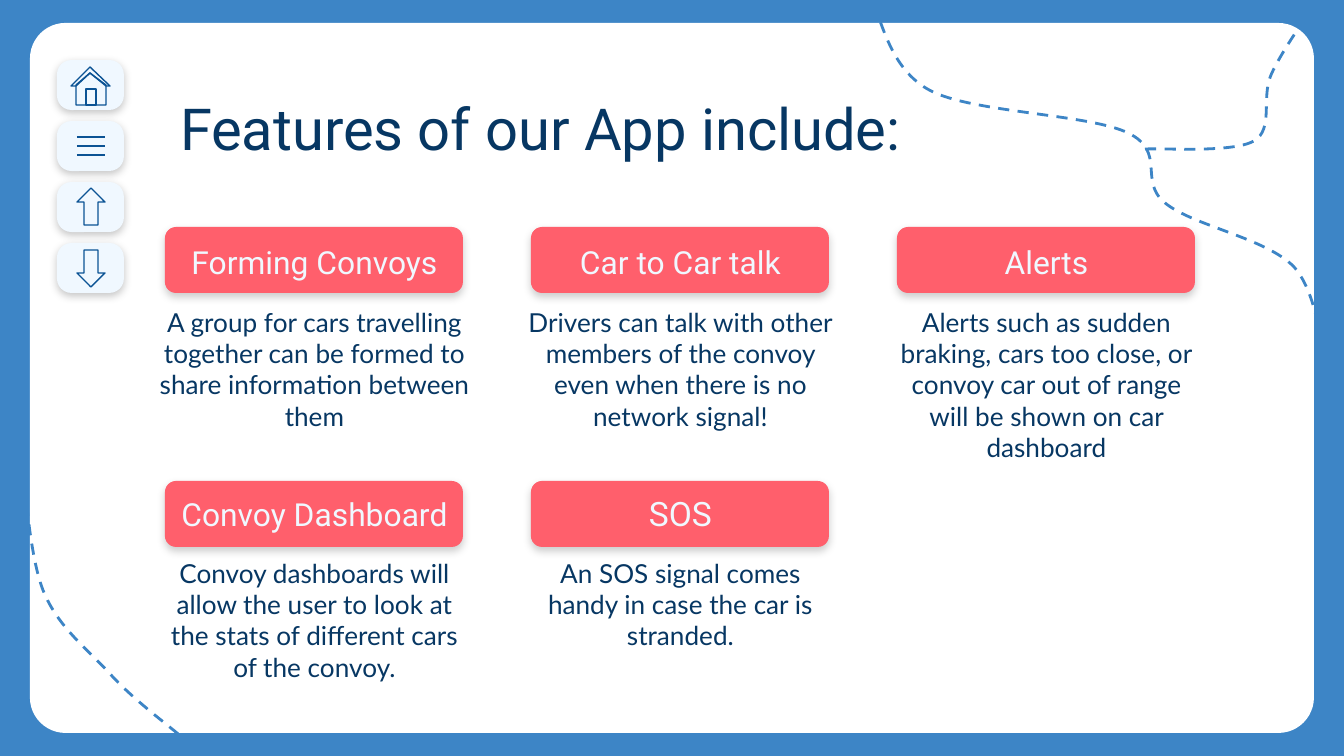
from dataclasses import dataclass

from lxml import etree
from pptx import Presentation
from pptx.dml.color import RGBColor
from pptx.enum.dml import MSO_LINE
from pptx.enum.shapes import MSO_CONNECTOR, MSO_SHAPE
from pptx.enum.text import MSO_ANCHOR, MSO_AUTO_SIZE, PP_ALIGN
from pptx.oxml.ns import qn
from pptx.shapes.autoshape import Shape
from pptx.shapes.shapetree import GroupShapes, SlideShapes
from pptx.text.text import TextFrame
from pptx.util import Emu, Pt

ROUNDED = MSO_SHAPE.ROUNDED_RECTANGLE
ARROW = MSO_SHAPE.DOWN_ARROW
STRAIGHT = MSO_CONNECTOR.STRAIGHT
DASH = MSO_LINE.DASH
TOP, BOTTOM = MSO_ANCHOR.TOP, MSO_ANCHOR.BOTTOM
LEFT, CENTER = PP_ALIGN.LEFT, PP_ALIGN.CENTER
NO_AUTOFIT = MSO_AUTO_SIZE.NONE

EMU_PER_PX = 914400 / 134.4
BLUE, NAVY, ICON_BLUE = "3D85C6", "073763", "0B5394"
WHITE, ICE, CORAL = "FFFFFF", "F0F8FF", "FF5F6C"
COLUMN_X, COLUMN_PITCH = 165, 366
CARD_ROWS, NAME_ROWS, DETAIL_ROWS = (227, 481), (228, 480), (293, 544)

Point = tuple[int, int]


@dataclass(frozen=True)
class Box:
    x: int
    y: int
    w: int
    h: int

    def emu(self) -> tuple[Emu, Emu, Emu, Emu]:
        return px(self.x), px(self.y), px(self.w), px(self.h)


@dataclass(frozen=True)
class Shadow:
    alpha: int
    blur: float
    distance: float


@dataclass(frozen=True)
class Feature:
    column: int
    row: int
    name: str
    detail: str
    name_size: int = 17

    @property
    def x(self) -> int:
        return COLUMN_X + COLUMN_PITCH * self.column


FEATURES = [
    Feature(0, 0, "Forming Convoys",
            "A group for cars travelling together can be formed to share information between them"),
    Feature(1, 0, "Car to Car talk",
            "Drivers can talk with other members of the convoy even when there is no network signal!"),
    Feature(0, 1, "Convoy Dashboard",
            "Convoy dashboards will allow the user to look at the stats of different cars of the convoy."),
    Feature(1, 1, "SOS",
            "An SOS signal comes handy in case the car is stranded.", 18),
    Feature(2, 0, "Alerts",
            "Alerts such as sudden braking, cars too close, or convoy car out of range "
            "will be shown on car dashboard"),
]

LEFT_ROAD = [(22, 446), (24, 470), (28, 551), (43, 590), (58, 628), (89, 650), (112, 676),
             (136, 702), (172, 728), (184, 739)]
SIDE_ROAD = [(1145, 149), (1164, 148), (1232, 153), (1254, 141), (1274, 129), (1261, 98),
             (1271, 75), (1281, 52), (1309, 13), (1317, 1)]
MAIN_ROAD = [(1328, 382), (1322, 363), (1321, 298), (1294, 267), (1266, 238), (1193, 226),
             (1165, 203), (1138, 181), (1167, 152), (1128, 133), (1089, 114), (974, 113),
             (931, 91), (888, 69), (882, 16), (871, 1)]

HOUSE_PARTS = [
    [(90, 73), (76, 85), (76, 105), (106, 105), (106, 85)],
    [(86, 89), (86, 105), (96, 105), (96, 89)],
    [(90, 67), (71, 86), (76, 86), (90, 73), (106, 86), (110, 86)],
]

CARD_SHADOW = Shadow(20, 4.5, 2.25)
BUTTON_SHADOW = Shadow(21, 4.5, 1.5)


def px(length: int) -> Emu:
    return Emu(round(length * EMU_PER_PX))


def rgb(value: str) -> RGBColor:
    return RGBColor.from_string(value)


def add_panel(shapes: SlideShapes, box: Box, color: str, corner: float,
              shadow: Shadow | None = None) -> Shape:
    panel = shapes.add_shape(ROUNDED, *box.emu())
    panel.adjustments[0] = corner
    panel.fill.solid()
    panel.fill.fore_color.rgb = rgb(color)
    panel.line.fill.background()
    panel.shadow.inherit = False
    if shadow:
        effects = panel.element.spPr.find(qn("a:effectLst"))
        outer = etree.SubElement(effects, qn("a:outerShdw"), blurRad=str(Pt(shadow.blur)),
                                 dist=str(Pt(shadow.distance)), dir="5400000",
                                 algn="bl", rotWithShape="0")
        black = etree.SubElement(outer, qn("a:srgbClr"), val="000000")
        etree.SubElement(black, qn("a:alpha"), val=str(shadow.alpha * 1000))
    return panel


def write(frame: TextFrame, text: str, *, size: int, font: str, color: str,
          align: PP_ALIGN = CENTER, anchor: MSO_ANCHOR = TOP) -> None:
    frame.word_wrap = True
    frame.auto_size = NO_AUTOFIT
    frame.vertical_anchor = anchor
    frame.margin_left = frame.margin_right = px(13)
    frame.margin_top = frame.margin_bottom = px(13)
    paragraph = frame.paragraphs[0]
    paragraph.alignment = align
    run = paragraph.add_run()
    run.text = text
    run.font.size = Pt(size)
    run.font.name = font
    run.font.color.rgb = rgb(color)


def outline(shape: Shape, color: str, width: float) -> None:
    shape.fill.background()
    shape.line.color.rgb = rgb(color)
    shape.line.width = Pt(width)
    shape.shadow.inherit = False


def add_path(shapes: SlideShapes | GroupShapes, points: list[Point], close: bool) -> Shape:
    start, *rest = [(px(x), px(y)) for x, y in points]
    builder = shapes.build_freeform(*start)
    builder.add_line_segments(rest, close=close)
    return builder.convert_to_shape()


def bend(shape: Shape) -> None:
    segments = list(shape.element.iter(qn("a:lnTo")))
    for first in range(0, len(segments), 3):
        curve = etree.Element(qn("a:cubicBezTo"))
        segments[first].addprevious(curve)
        for segment in segments[first:first + 3]:
            curve.append(segment[0])
            segment.getparent().remove(segment)


def add_road(shapes: SlideShapes, knots: list[Point]) -> None:
    road = add_path(shapes, knots, close=False)
    bend(road)
    outline(road, BLUE, 1.5)
    road.line.dash_style = DASH


def add_feature_text(shapes: SlideShapes, feature: Feature) -> None:
    name = shapes.add_textbox(*Box(feature.x - 20, NAME_ROWS[feature.row], 339, 66).emu())
    write(name.text_frame, feature.name, size=feature.name_size, font="Roboto",
          color=ICE, anchor=BOTTOM)
    detail = shapes.add_textbox(*Box(feature.x - 20, DETAIL_ROWS[feature.row], 339, 87).emu())
    write(detail.text_frame, feature.detail, size=14, font="Lato", color=NAVY)


def add_arrow(shapes: SlideShapes, y: int, rotation: int) -> None:
    arrow = shapes.add_shape(ARROW, *Box(77, y, 28, 37).emu())
    arrow.rotation = rotation
    outline(arrow, ICON_BLUE, 0.75)


def add_navigation(shapes: SlideShapes) -> None:
    for position in range(4):
        add_panel(shapes, Box(57, 60 + 61 * position, 67, 50), ICE, 0.29, BUTTON_SHADOW)
    house = shapes.add_group_shape().shapes
    for part in HOUSE_PARTS:
        outline(add_path(house, part, close=True), ICON_BLUE, 0.75)
    add_arrow(shapes, 250, 0)
    add_arrow(shapes, 188, 180)
    menu = shapes.add_group_shape().shapes
    for y in (137, 146, 155):
        bar = menu.add_connector(STRAIGHT, px(77), px(y), px(105), px(y))
        bar.line.color.rgb = rgb(ICON_BLUE)
        bar.line.width = Pt(0.75)
        etree.SubElement(bar.element.spPr, qn("a:effectLst"))


def main() -> None:
    deck = Presentation()
    deck.slide_width, deck.slide_height = px(1344), px(756)
    slide = deck.slides.add_slide(deck.slide_layouts.get_by_name("Title Only"))
    slide.background.fill.solid()
    slide.background.fill.fore_color.rgb = rgb(BLUE)
    shapes = slide.shapes

    title = shapes.title
    title.left, title.top, title.width, title.height = Box(167, 80, 1133, 93).emu()
    write(title.text_frame, "Features of our App include:", size=31, font="Roboto",
          color=NAVY, align=LEFT)
    page = add_panel(shapes, Box(30, 23, 1284, 710), WHITE, 0.05)
    title.element.addprevious(page.element)

    for feature in FEATURES:
        card = Box(feature.x, CARD_ROWS[feature.row], 298, 66)
        title.element.addprevious(add_panel(shapes, card, CORAL, 0.17, CARD_SHADOW).element)
    for feature in FEATURES:
        add_feature_text(shapes, feature)
    add_road(shapes, LEFT_ROAD)
    add_navigation(shapes)
    add_road(shapes, SIDE_ROAD)
    add_road(shapes, MAIN_ROAD)
    deck.save("out.pptx")


if __name__ == "__main__":
    main()
